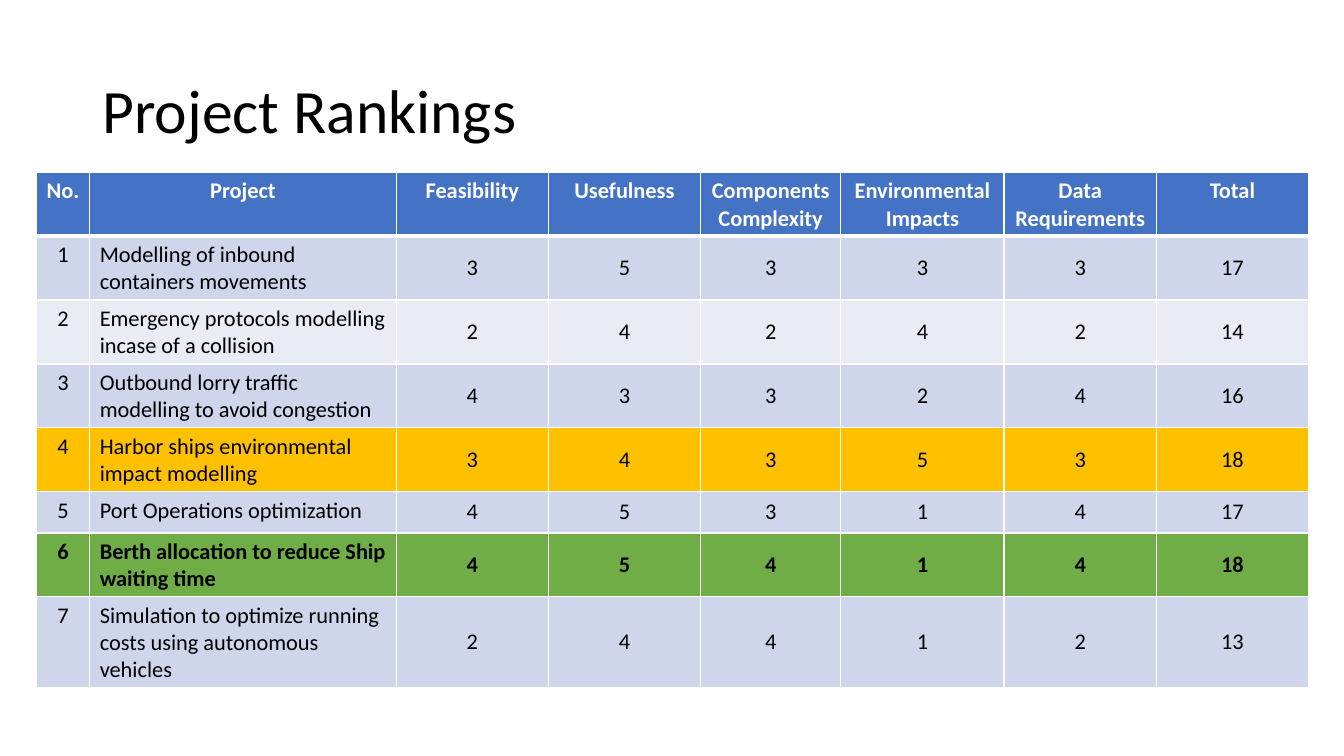
from lxml import etree
from pptx import Presentation
from pptx import util as u
from pptx.dml.color import RGBColor
from pptx.enum import text
from pptx.oxml.ns import qn

COLORS = {
    "black": "000000",
    "white": "FFFFFF",
    "head": "4472C4",
    "odd": "CFD5EA",
    "even": "E9EBF5",
    "gold": "FFC000",
    "green": "70AD47",
}
WIDTHS = [0.53, 3.04, 1.51, 1.51, 1.39, 1.62, 1.51, 1.51]
HEADS = ["No.", "Project", "Feasibility", "Usefulness", "Components Complexity",
         "Environmental Impacts", "Data Requirements", "Total"]
PROJECTS = [
    ("Modelling of inbound containers movements", [3, 5, 3, 3, 3]),
    ("Emergency protocols modelling incase of a collision", [2, 4, 2, 4, 2]),
    ("Outbound lorry traffic modelling to avoid congestion", [4, 3, 3, 2, 4]),
    ("Harbor ships environmental impact modelling", [3, 4, 3, 5, 3]),
    ("Port Operations optimization", [4, 5, 3, 1, 4]),
    ("Berth allocation to reduce Ship waiting time", [4, 5, 4, 1, 4]),
    ("Simulation to optimize running costs using autonomous vehicles", [2, 4, 4, 1, 2]),
]
MARKED = {4: "gold", 6: "green"}


class Deck:
    face = "Calibri"

    def __init__(self, slide):
        self.slide = slide

    def style(self, para, size, color, bold=False):
        font = para.font
        font.name, font.size, font.bold = self.face, u.Pt(size), bold
        font.color.rgb = RGBColor.from_string(COLORS[color])

    def title(self, words, left, top, width, height):
        box = self.slide.shapes.add_textbox(*map(u.Inches, (left, top, width, height)))
        frame = box.text_frame
        frame.word_wrap = True
        frame.vertical_anchor = text.MSO_ANCHOR.MIDDLE
        para = frame.paragraphs[0]
        para.text = words
        para.line_spacing = 0.9
        self.style(para, 44, "black")

    def border(self, cell, side, width):
        line = etree.SubElement(cell._tc.get_or_add_tcPr(), qn("a:ln" + side),
                                w=str(u.Pt(width)))
        fill = etree.SubElement(line, qn("a:solidFill"))
        etree.SubElement(fill, qn("a:srgbClr"), val=COLORS["white"])

    def cell(self, cell, words, row, col):
        head = row == 0
        for side in "LRTB":
            thick = (row, side) in ((0, "B"), (1, "T"))
            self.border(cell, side, 3 if thick else 1)
        name = "head" if head else MARKED.get(row, "odd" if row % 2 else "even")
        cell.fill.solid()
        cell.fill.fore_color.rgb = RGBColor.from_string(COLORS[name])
        if not head and col > 1:
            cell.vertical_anchor = text.MSO_ANCHOR.MIDDLE
        para = cell.text_frame.paragraphs[0]
        para.text = str(words)
        if head or col != 1:
            para.alignment = text.PP_ALIGN.CENTER
        self.style(para, 16, "white" if head else "black", head or name == "green")

    def table(self, rows, left, top, widths, height):
        size = (left, top, sum(widths), height * len(rows))
        grid = self.slide.shapes.add_table(
            len(rows), len(widths), *map(u.Inches, size)).table
        for col, width in zip(grid.columns, widths):
            col.width = u.Inches(width)
        for r, row in enumerate(rows):
            grid.rows[r].height = u.Inches(height)
            for c, words in enumerate(row):
                self.cell(grid.cell(r, c), words, r, c)


def main():
    show = Presentation()
    show.slide_width, show.slide_height = u.Inches(13.33), u.Inches(7.5)
    deck = Deck(show.slides.add_slide(show.slide_layouts[6]))
    deck.title("Project Rankings", 0.92, 0.4, 11.5, 1.45)
    ranks = [[num, name, *marks, sum(marks)]
             for num, (name, marks) in enumerate(PROJECTS, 1)]
    deck.table([HEADS] + ranks, 0.36, 1.71, WIDTHS, 0.41)
    show.save("out.pptx")


if __name__ == "__main__":
    main()
